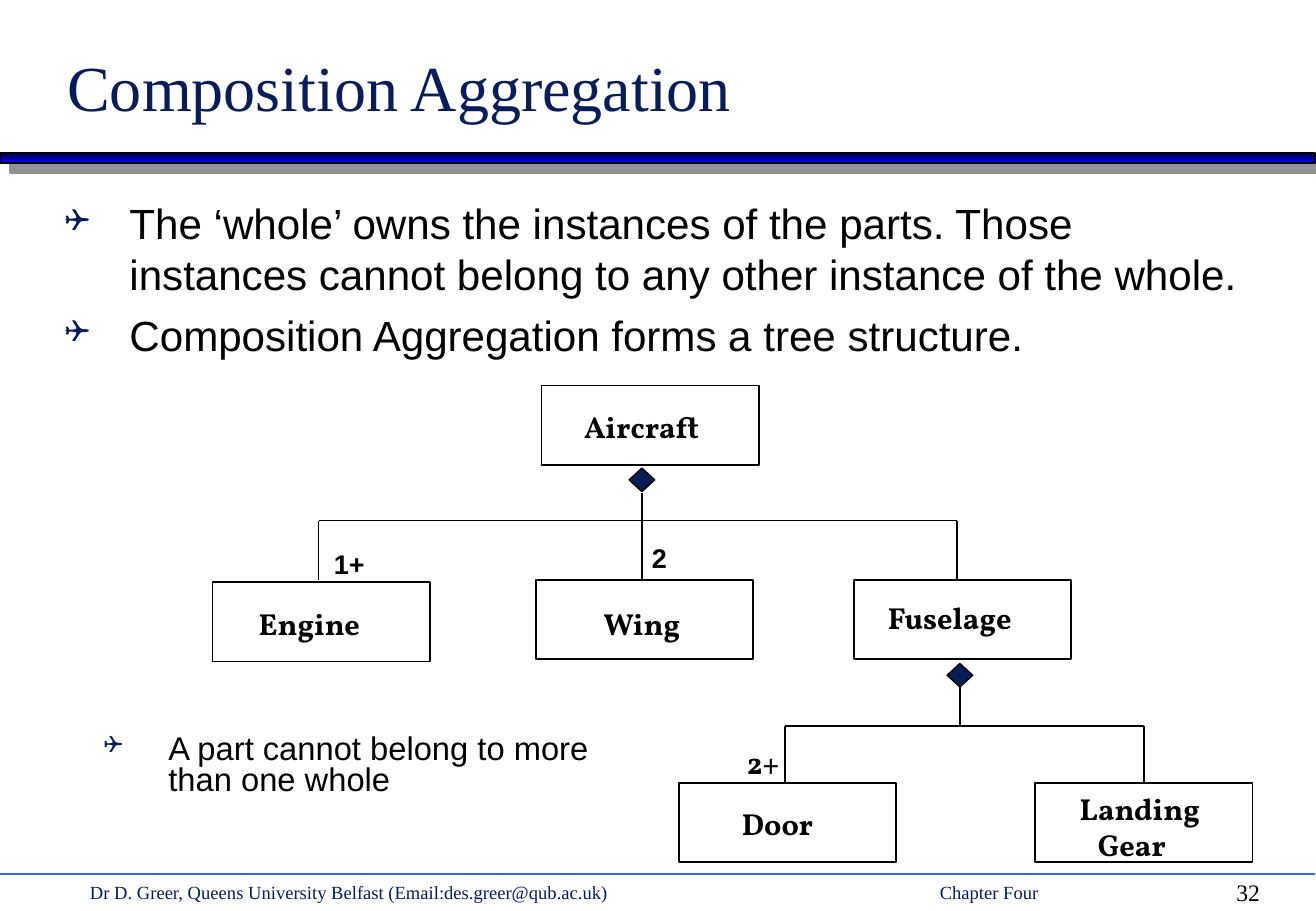
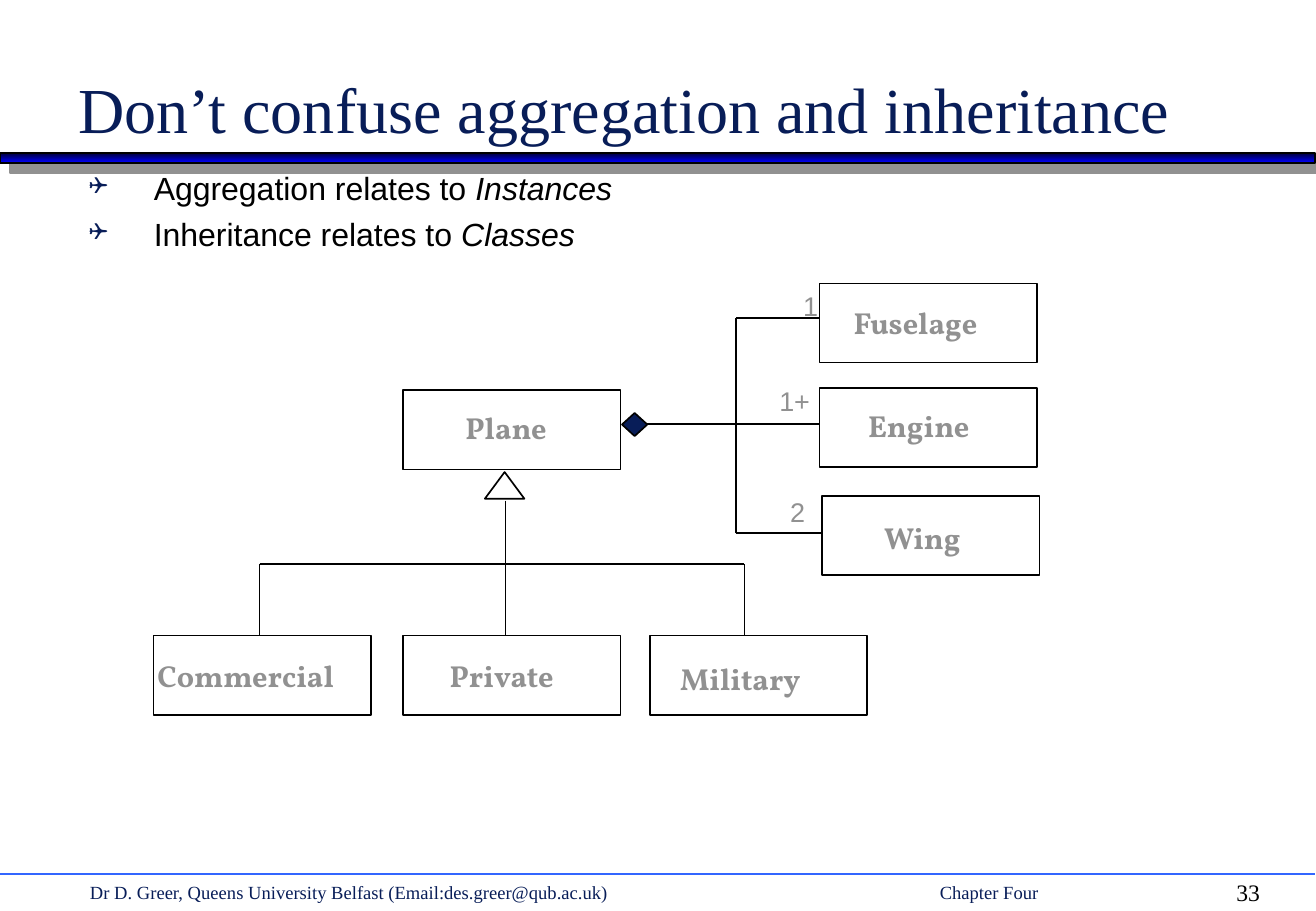
from itertools import pairwise

from lxml import etree
from pptx import Presentation
from pptx.dml.color import RGBColor
from pptx.enum.shapes import MSO_CONNECTOR, MSO_SHAPE
from pptx.enum.text import MSO_ANCHOR
from pptx.oxml.ns import qn
from pptx.util import Pt

STRAIGHT = MSO_CONNECTOR.STRAIGHT
RECTANGLE = MSO_SHAPE.RECTANGLE
DIAMOND = MSO_SHAPE.DIAMOND
TRIANGLE = MSO_SHAPE.ISOSCELES_TRIANGLE
TOP = MSO_ANCHOR.TOP
BOTTOM = MSO_ANCHOR.BOTTOM

NAVY, BLACK, WHITE, GRAY = "081D58", "000000", "FFFFFF", "919191"
BAND_TOP, BAND_BOTTOM, RULE = "000036", "0000FF", "3366FF"
SERIF, SANS, LABEL, SYMBOL = "Times New Roman", "Arial", "Vollkorn", "Wingdings"
WIDTH, HEIGHT = 780.48, 540
BAND_WIDTH = 780
BOX_WIDTH, BOX_HEIGHT = 129, 47
INSETS = (7.2, 3.6, 7.2, 3.6)
HANGING = 38.4
FOOTER = "Dr D. Greer, Queens University Belfast (Email:des.greer@qub.ac.uk)\tChapter Four"


def rgb(value):
    """Turn a hex string into a colour."""
    return RGBColor.from_string(value)


def child(parent, tag, **attributes):
    """Append a drawing element with the given attributes."""
    element = etree.SubElement(parent, qn(tag))
    for name, value in attributes.items():
        element.set(name, str(value))
    return element


class Deck:
    """Hold the shared style and the slide being drawn."""

    def __init__(self):
        """Start an empty presentation."""
        self.presentation = Presentation()
        self.presentation.slide_width = Pt(WIDTH)
        self.presentation.slide_height = Pt(HEIGHT)
        self.slide = None
        self.ink = BLACK

    def new_slide(self, title, title_box, number, ink):
        """Add a slide with its title, band and footer."""
        layout = self.presentation.slide_layouts[6]
        self.slide = self.presentation.slides.add_slide(layout)
        self.ink = ink
        self.band()
        self.line((0, 518), (BAND_WIDTH, 518), RULE)
        footer = self.text(FOOTER, (46.3, 518.8, 667, 20), 11, SERIF, NAVY)
        properties = footer.paragraphs[0]._p.get_or_add_pPr()
        child(child(properties, "a:tabLst"), "a:tab", pos=Pt(504), algn="l")
        self.text(str(number), (726.2, 516.6, 42, 24), 14, SERIF, BLACK)
        self.text(title, title_box, 38, SERIF, NAVY, anchor=BOTTOM)

    def band(self):
        """Draw the gradient band with its hard shadow."""
        band = self.shape(RECTANGLE, (0, 90.7, BAND_WIDTH, 5.8))
        band.fill.gradient()
        band.fill.gradient_angle = 270
        for stop, color in zip(band.fill.gradient_stops, (BAND_TOP, BAND_BOTTOM)):
            stop.color.rgb = rgb(color)
        effects = band._element.spPr.find(qn("a:effectLst"))
        shadow = child(effects, "a:outerShdw", dist=Pt(8.5), dir=45 * 60000,
                       algn="tl", rotWithShape=0)
        child(shadow, "a:srgbClr", val=GRAY)

    def shape(self, kind, box, fill=WHITE):
        """Draw a preset shape with a thin black outline."""
        shape = self.slide.shapes.add_shape(kind, *map(Pt, box))
        shape.shadow.inherit = False
        shape.fill.solid()
        shape.fill.fore_color.rgb = rgb(fill)
        shape.line.color.rgb = rgb(BLACK)
        shape.line.width = Pt(1)
        return shape

    def diamond(self, left, top):
        """Draw a composition diamond."""
        self.shape(DIAMOND, (left, top, 15, 13.7), NAVY)

    def line(self, start, end, color=BLACK):
        """Draw one straight line."""
        line = self.slide.shapes.add_connector(STRAIGHT, *map(Pt, start + end))
        line.line.color.rgb = rgb(color)
        line.line.width = Pt(1)
        child(line._element.spPr, "a:effectLst")

    def route(self, *points):
        """Join successive points with lines."""
        for start, end in pairwise(points):
            self.line(start, end)

    def tree(self, trunk, top, bar, bottom, branches):
        """Draw a trunk, a crossbar and a drop to each branch."""
        self.line((trunk, top), (trunk, bar))
        self.line((min(branches), bar), (max(branches), bar))
        for branch in branches:
            self.line((branch, bar), (branch, bottom))

    def frame(self, shape, insets, anchor):
        """Set the margins and anchor of a text frame."""
        frame = shape.text_frame
        frame.word_wrap = True
        frame.vertical_anchor = anchor
        (frame.margin_left, frame.margin_top,
         frame.margin_right, frame.margin_bottom) = map(Pt, insets)
        return frame

    def style(self, paragraph, size, font, color, bold=False):
        """Format every run of a paragraph."""
        for run in paragraph.runs:
            run.font.size = Pt(size)
            run.font.name = font
            run.font.bold = bold
            run.font.color.rgb = rgb(color)

    def text(self, text, box, size, font, color, bold=False, insets=INSETS, anchor=TOP):
        """Add a text box with one paragraph."""
        shape = self.slide.shapes.add_textbox(*map(Pt, box))
        frame = self.frame(shape, insets, anchor)
        frame.text = text
        self.style(frame.paragraphs[0], size, font, color, bold)
        return frame

    def multiplicity(self, text, left, top, size=16, font=SANS):
        """Add a multiplicity beside a line."""
        self.text(text, (left, top, 36, 22), size, font, self.ink,
                  self.ink == BLACK, (0, 0, 0, 0))

    def class_box(self, name, left, top, inset, drop):
        """Draw a class rectangle with its name inside."""
        shape = self.shape(RECTANGLE, (left, top, BOX_WIDTH, BOX_HEIGHT))
        frame = self.frame(shape, (inset, drop, 0, 0), TOP)
        frame.text = name
        for index, paragraph in enumerate(frame.paragraphs):
            properties = paragraph._p.get_or_add_pPr()
            properties.set("algn", "l")
            properties.set("marL", str(Pt(10.7 * index)))
            self.style(paragraph, 18, LABEL, self.ink, True)

    def bullets(self, items, box, size, before, spacing=1.0):
        """Add bulleted items, each a plain part and an italic part."""
        shape = self.slide.shapes.add_textbox(*map(Pt, box))
        frame = self.frame(shape, INSETS, TOP)
        for index, (plain, italic) in enumerate(items):
            paragraph = frame.add_paragraph() if index else frame.paragraphs[0]
            paragraph.text = plain
            if italic:
                run = paragraph.add_run()
                run.text = italic
                run.font.italic = True
            self.style(paragraph, size, SANS, BLACK)
            paragraph.space_before = Pt(before)
            paragraph.line_spacing = spacing
            properties = paragraph._p.get_or_add_pPr()
            properties.set("marL", str(Pt(HANGING)))
            properties.set("indent", str(-Pt(HANGING)))
            child(child(properties, "a:buClr"), "a:srgbClr", val=NAVY)
            child(properties, "a:buSzPct", val=75000)
            child(properties, "a:buFont", typeface=SYMBOL)
            child(properties, "a:buChar", char="❑")


def composition_slide(deck):
    """Draw the aircraft composition tree."""
    deck.new_slide("Composition Aggregation", (32.8, 20.9, 666, 56.2), 32, BLACK)
    deck.bullets([
        ("The ‘whole’ owns the instances of the parts. Those instances cannot "
         "belong to any other instance of the whole.", ""),
        ("Composition Aggregation forms a tree structure.", ""),
    ], (31.3, 113.4, 719.3, 108), 25, 6.2)
    for name, left, top, inset, drop in (
        ("Aircraft", 321.2, 228.5, 25.2, 13.7),
        ("Engine", 126, 345.2, 27.4, 13.7),
        ("Wing", 317.7, 343.8, 40.3, 15.1),
        ("Fuselage", 506.4, 343.8, 20.2, 11.5),
        ("Door", 402.6, 464, 37.4, 13),
        ("Landing\nGear", 613.8, 464, 26.6, 4.3),
    ):
        deck.class_box(name, left, top, inset, drop)
    deck.diamond(373.2, 277.6)
    deck.tree(380.8, 292, 308.6, 343.6, (189, 380.8, 567.6))
    deck.diamond(561.8, 393.4)
    deck.tree(569.3, 407.2, 430.2, 463.7, (465.4, 678.5))
    deck.multiplicity("1+", 198, 324.4)
    deck.multiplicity("2", 386.6, 321.1)
    deck.multiplicity("2+", 443, 440.9, 18, LABEL)
    deck.bullets([("A part cannot belong to more than one whole", "")],
                 (54.4, 432.4, 311.8, 54), 19.4, 6.2, 0.8)


def inheritance_slide(deck):
    """Draw the plane with its parts and its subclasses."""
    deck.new_slide("Don’t confuse aggregation and inheritance",
                   (39.3, 0, 663.1, 90), 33, GRAY)
    deck.bullets([
        ("Aggregation relates to", " Instances"),
        ("Inheritance relates to ", "Classes"),
    ], (45.7, 96.2, 702, 62), 19, 4.8)
    for name, left, top, inset, drop in (
        ("Plane", 239.1, 231.3, 36.9, 11.5),
        ("Commercial", 91, 376.8, 2.3, 13),
        ("Private", 239.1, 376.8, 27.5, 13),
        ("Military", 385.3, 376.8, 18, 14.4),
        ("Fuselage", 486, 168, 20.2, 12.2),
        ("Engine", 486, 229.9, 28.8, 11.6),
        ("Wing", 487.6, 294, 36.7, 13.7),
    ):
        deck.class_box(name, left, top, inset, drop)
    deck.shape(TRIANGLE, (287.6, 279.8, 23.4, 15.8))
    deck.tree(299.9, 296.8, 334.2, 376.5, (154, 299.9, 441.5))
    deck.diamond(368.9, 244.8)
    deck.line((383.3, 251.5), (485.6, 251.5))
    deck.route((487, 316.1), (436.6, 316.1), (436.6, 188.6), (485.6, 188.6))
    deck.multiplicity("1", 476.3, 171.8)
    deck.multiplicity("1+", 462.2, 228.2)
    deck.multiplicity("2", 468.7, 293.8)


def main():
    """Build and save the presentation."""
    deck = Deck()
    composition_slide(deck)
    inheritance_slide(deck)
    deck.presentation.save("out.pptx")


if __name__ == "__main__":
    main()
